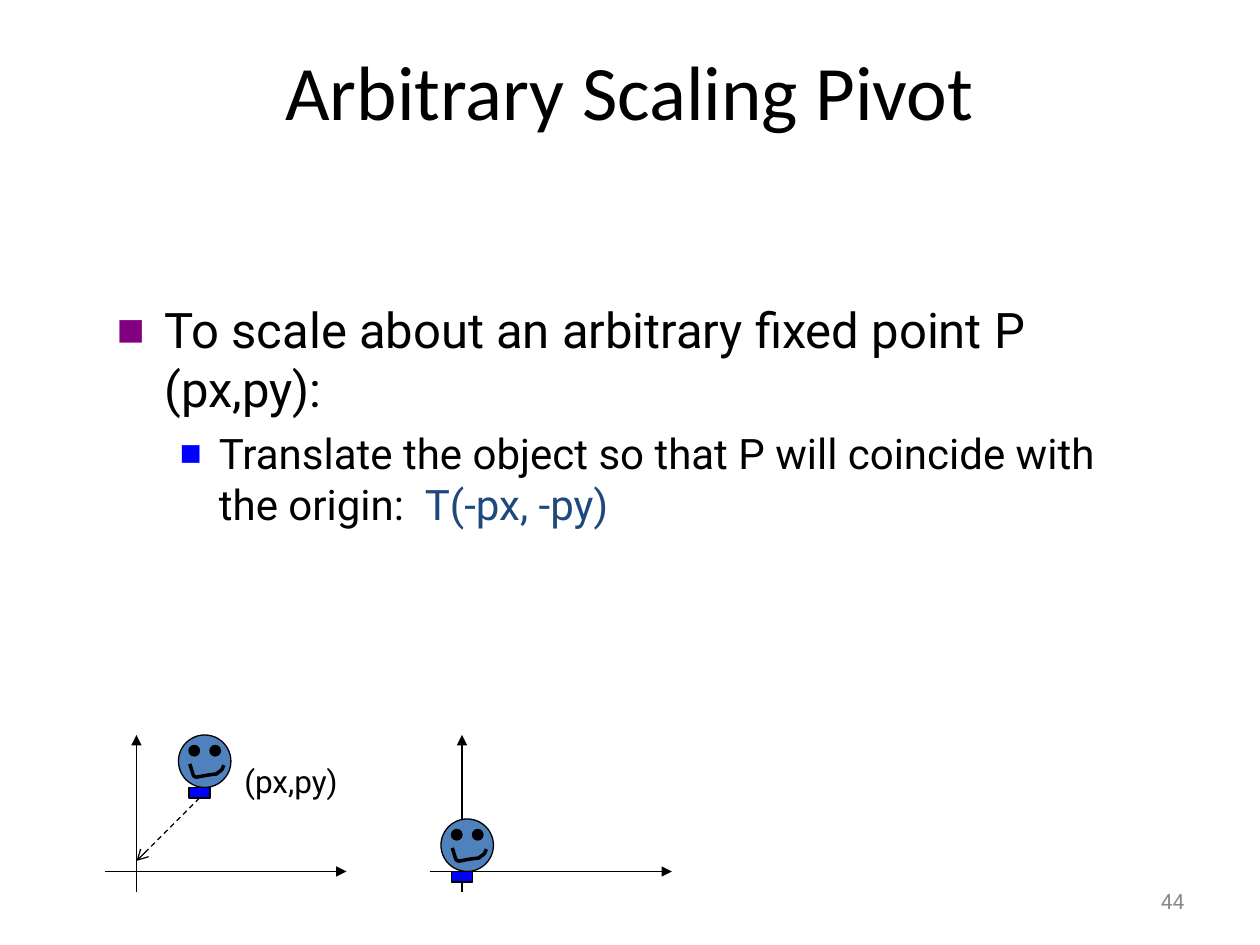
from lxml import etree
from pptx import Presentation
from pptx.dml.color import RGBColor
from pptx.enum import dml, shapes, text
from pptx.oxml import ns
from pptx.util import Inches, Pt

BLACK = RGBColor(0x00, 0x00, 0x00)
GREY = RGBColor(0x89, 0x89, 0x89)
NAVY = RGBColor(0x1F, 0x49, 0x7D)
PURPLE = RGBColor(0x80, 0x00, 0x80)
BLUE = RGBColor(0x00, 0x00, 0xFF)
STEEL = RGBColor(0x4F, 0x81, 0xBD)

# Content
TITLE = "Arbitrary Scaling Pivot"
PAGE_NUMBER = "44"
POINT_LABEL = "(px,py)"
BULLETS = [
    # level, size, left margin, hanging indent, bullet colour, bullet percent, runs
    (0, 28, 0.38, 0.38, PURPLE, 60,
     [("To scale about an arbitrary fixed point P (px,py):", BLACK)]),
    (1, 24, 0.81, 0.31, BLUE, 55,
     [("Translate the object so that P will coincide with the origin:  ", BLACK),
      ("T(-px, -py)", NAVY)]),
]

# The drawings sit on a grid of twelve cells to the inch: (column, row)
CELL = 1 / 12
SCENES = [
    # origin of the axes, top left of the head
    ((44, 83), (42, 78)),
    ((13, 83), (17, 70)),
]
MOVE = ((19, 76), (13, 82))
# Smile as Bezier segments, in inches from the top left of the head
SMILE = [
    [(0.09, 0.23), (0.14, 0.38), (0.09, 0.33), (0.30, 0.31)],
    [(0.30, 0.31), (0.35, 0.27), (0.34, 0.29), (0.36, 0.24)],
]
CURVE_STEPS = 12

presentation = Presentation()
presentation.slide_width, presentation.slide_height = Inches(10), Inches(7.5)
slide = presentation.slides.add_slide(presentation.slide_layouts[6])


def add_run(paragraph, content, size, color, font="Roboto"):
    run = paragraph.add_run()
    run.text = content
    run.font.size, run.font.name = Pt(size), font
    run.font.color.rgb = color


def add_text_box(left, top, width, height, wrap=True):
    box = slide.shapes.add_textbox(*map(Inches, (left, top, width, height)))
    box.text_frame.word_wrap = wrap
    return box.text_frame


def add_bullet(paragraph, margin, hanging, color, percent):
    properties = paragraph._p.get_or_add_pPr()
    properties.set("marL", str(Inches(margin)))
    properties.set("indent", str(-Inches(hanging)))
    bullet_color = etree.SubElement(properties, ns.qn("a:buClr"))
    etree.SubElement(bullet_color, ns.qn("a:srgbClr"), val=str(color))
    etree.SubElement(properties, ns.qn("a:buSzPct"), val=str(percent * 1000))
    etree.SubElement(properties, ns.qn("a:buFont"), typeface="Roboto")
    etree.SubElement(properties, ns.qn("a:buChar"), char="■")


def add_arrow(parent, start, end, head="triangle", dash=None):
    ends = [Inches(value * CELL) for value in (*start, *end)]
    arrow = parent.add_connector(shapes.MSO_CONNECTOR.STRAIGHT, *ends)
    arrow.line.color.rgb, arrow.line.width = BLACK, Pt(0.75)
    if dash:
        arrow.line.dash_style = dash
    etree.SubElement(arrow.line._get_or_add_ln(), ns.qn("a:tailEnd"), type=head)
    etree.SubElement(arrow._element.spPr, ns.qn("a:effectLst"))


def add_part(parent, kind, column, row, width, height, color):
    part = parent.add_shape(
        kind, *[Inches(value * CELL) for value in (column, row, width, height)])
    part.shadow.inherit = False
    part.fill.solid()
    part.fill.fore_color.rgb = color
    part.line.color.rgb, part.line.width = BLACK, Pt(0.75)


def bezier(points, t):
    weights = ((1 - t) ** 3, 3 * t * (1 - t) ** 2, 3 * t ** 2 * (1 - t), t ** 3)
    return tuple(sum(w * p[axis] for w, p in zip(weights, points)) for axis in (0, 1))


def add_axes(column, row):
    axes = slide.shapes.add_group_shape().shapes
    add_arrow(axes, (column - 3, row), (column + 20, row))
    add_arrow(axes, (column, row + 2), (column, row - 13))


def add_figure(column, row):
    head = slide.shapes.add_group_shape().shapes
    oval = shapes.MSO_SHAPE.OVAL
    add_part(head, oval, column, row, 5, 5, STEEL)
    for eye in (1, 3):
        add_part(head, oval, column + eye, row + 1, 1, 1, BLACK)
    curve = [SMILE[0][0]] + [bezier(segment, step / CURVE_STEPS)
                             for segment in SMILE
                             for step in range(1, CURVE_STEPS + 1)]
    points = [(Inches(column * CELL + x), Inches(row * CELL + y)) for x, y in curve]
    builder = head.build_freeform(*points[0])
    builder.add_line_segments(points[1:], close=False)
    smile = builder.convert_to_shape()
    smile.shadow.inherit = False
    smile.fill.background()
    smile.line.color.rgb, smile.line.width = BLACK, Pt(2)
    # Neck
    add_part(slide.shapes, shapes.MSO_SHAPE.RECTANGLE, column + 1, row + 5, 2, 1, BLUE)


# Page number
frame = add_text_box(7.17, 6.95, 2.33, 0.4)
frame.vertical_anchor = text.MSO_ANCHOR.MIDDLE
frame.paragraphs[0].alignment = text.PP_ALIGN.RIGHT
add_run(frame.paragraphs[0], PAGE_NUMBER, 12, GREY)

# Bullets
frame = add_text_box(0.83, 2.33, 8.5, 4.5)
for index, (level, size, margin, hanging, color, percent, runs) in enumerate(BULLETS):
    paragraph = frame.add_paragraph() if index else frame.paragraphs[0]
    paragraph.level = level
    add_bullet(paragraph, margin, hanging, color, percent)
    if index:
        paragraph.space_before = Pt(6)
    for content, run_color in runs:
        add_run(paragraph, content, size, run_color)

# Axes with the figure, after and before the move
for origin, head_corner in SCENES:
    add_axes(*origin)
    add_figure(*head_corner)

# Pivot label and its move to the origin
frame = add_text_box(1.84, 6, 0.98, 0.4, wrap=False)
add_run(frame.paragraphs[0], POINT_LABEL, 18, BLACK)
add_arrow(slide.shapes, *MOVE, head="arrow", dash=dml.MSO_LINE.DASH)

# Title
frame = add_text_box(0.5, 0.3, 9, 1.25)
frame.paragraphs[0].alignment = text.PP_ALIGN.CENTER
add_run(frame.paragraphs[0], TITLE, 44, BLACK, "Calibri")

presentation.save("out.pptx")
